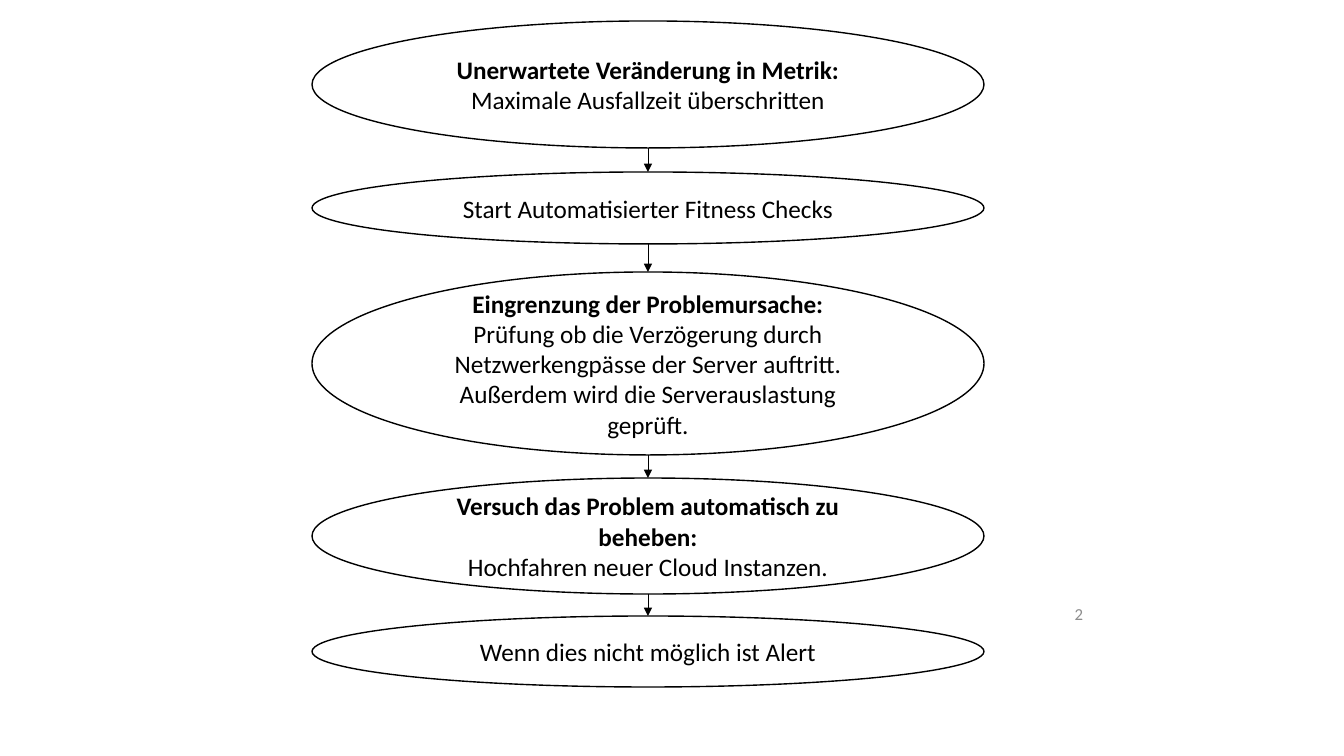
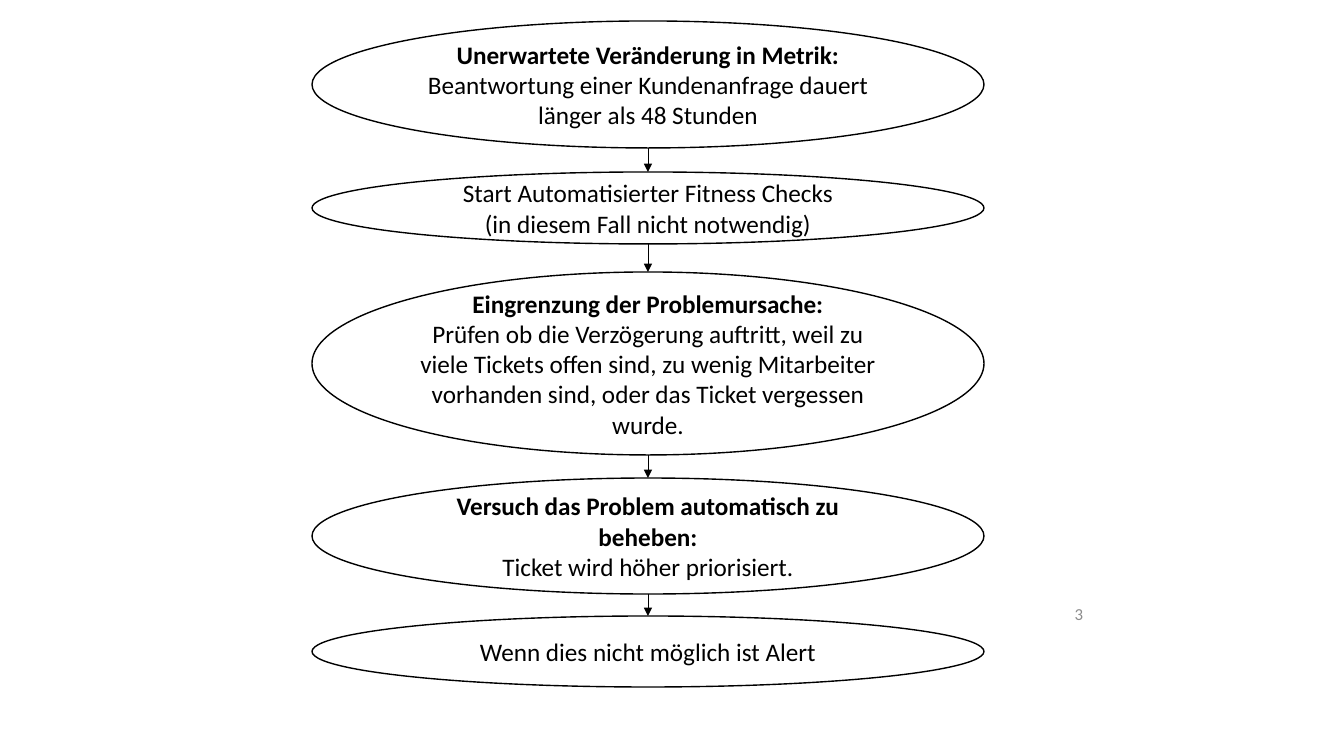
"""Build two flow charts of automated reactions to unexpected metric changes."""
import dataclasses

import lxml.etree
import pptx
import pptx.dml.color
import pptx.enum.shapes
import pptx.enum.text
import pptx.oxml.ns
import pptx.util


@dataclasses.dataclass(frozen=True)
class Theme:
    font: str = "Calibri"
    ink: str = "000000"
    muted: str = "8C8C8C"
    step_size: int = 18
    number_size: int = 12
    outline: float = 1
    arrow: float = 0.5


THEME = Theme()
SCALE = 914400 / 100.8
STEP_LEFT, STEP_WIDTH, STEP_INSET = 312, 672, 8
STEP_SPANS = [(21, 148), (172, 244), (272, 455), (478, 594), (616, 687)]
NUMBER_BOX = (858, 594, 235, 40)

METRIC = "Unerwartete Veränderung in Metrik:"
CHECKS = "Start Automatisierter Fitness Checks"
CAUSE = "Eingrenzung der Problemursache:"
REPAIR = "Versuch das Problem automatisch zu beheben:"
ALERT = "Wenn dies nicht möglich ist Alert"
HEADINGS = {METRIC, CAUSE, REPAIR}

FLOWS = [
    ("2", [
        [METRIC, "Maximale Ausfallzeit überschritten"],
        [CHECKS],
        [CAUSE, "Prüfung ob die Verzögerung durch Netzwerkengpässe der Server auftritt. "
                "Außerdem wird die Serverauslastung geprüft."],
        [REPAIR, "Hochfahren neuer Cloud Instanzen."],
        [ALERT],
    ]),
    ("3", [
        [METRIC, "Beantwortung einer Kundenanfrage dauert länger als 48 Stunden"],
        [CHECKS, "(in diesem Fall nicht notwendig)"],
        [CAUSE, "Prüfen ob die Verzögerung auftritt, weil zu viele Tickets offen sind, "
                "zu wenig Mitarbeiter vorhanden sind, oder das Ticket vergessen wurde."],
        [REPAIR, "Ticket wird höher priorisiert."],
        [ALERT],
    ]),
]


def emu(*pixels):
    return [pptx.util.Emu(round(pixel * SCALE)) for pixel in pixels]


def write(frame, lines, size, color, alignment):
    frame.word_wrap = True
    frame.vertical_anchor = pptx.enum.text.MSO_ANCHOR.MIDDLE
    frame.text = "\n".join(lines)
    for paragraph in frame.paragraphs:
        paragraph.alignment = alignment
        for run in paragraph.runs:
            run.font.name = THEME.font
            run.font.size = pptx.util.Pt(size)
            run.font.bold = run.text in HEADINGS
            run.font.color.rgb = pptx.dml.color.RGBColor.from_string(color)


deck = pptx.Presentation()
deck.slide_width, deck.slide_height = emu(1344, 756)
blank = deck.slide_layouts[6]
ink = pptx.dml.color.RGBColor.from_string(THEME.ink)
center = STEP_LEFT + STEP_WIDTH / 2

for number, steps in FLOWS:
    slide = deck.slides.add_slide(blank)

    for (top, bottom), lines in zip(STEP_SPANS, steps):
        step = slide.shapes.add_shape(
            pptx.enum.shapes.MSO_SHAPE.OVAL,
            *emu(STEP_LEFT, top, STEP_WIDTH, bottom - top))
        step.shadow.inherit = False
        step.fill.background()
        step.line.color.rgb = ink
        step.line.width = pptx.util.Pt(THEME.outline)
        frame = step.text_frame
        frame.margin_left, frame.margin_right = emu(STEP_INSET, STEP_INSET)
        write(frame, lines, THEME.step_size, THEME.ink,
              pptx.enum.text.PP_ALIGN.CENTER)

    page_number = slide.shapes.add_textbox(*emu(*NUMBER_BOX))
    write(page_number.text_frame, [number], THEME.number_size, THEME.muted,
          pptx.enum.text.PP_ALIGN.RIGHT)

    for (_, start), (end, _) in zip(STEP_SPANS, STEP_SPANS[1:]):
        arrow = slide.shapes.add_connector(
            pptx.enum.shapes.MSO_CONNECTOR.STRAIGHT,
            *emu(center, start, center, end))
        arrow.line.color.rgb = ink
        arrow.line.width = pptx.util.Pt(THEME.arrow)
        lxml.etree.SubElement(arrow.line._get_or_add_ln(),
                              pptx.oxml.ns.qn("a:tailEnd"), type="triangle")
        lxml.etree.SubElement(arrow._element.spPr, pptx.oxml.ns.qn("a:effectLst"))

deck.save("out.pptx")
